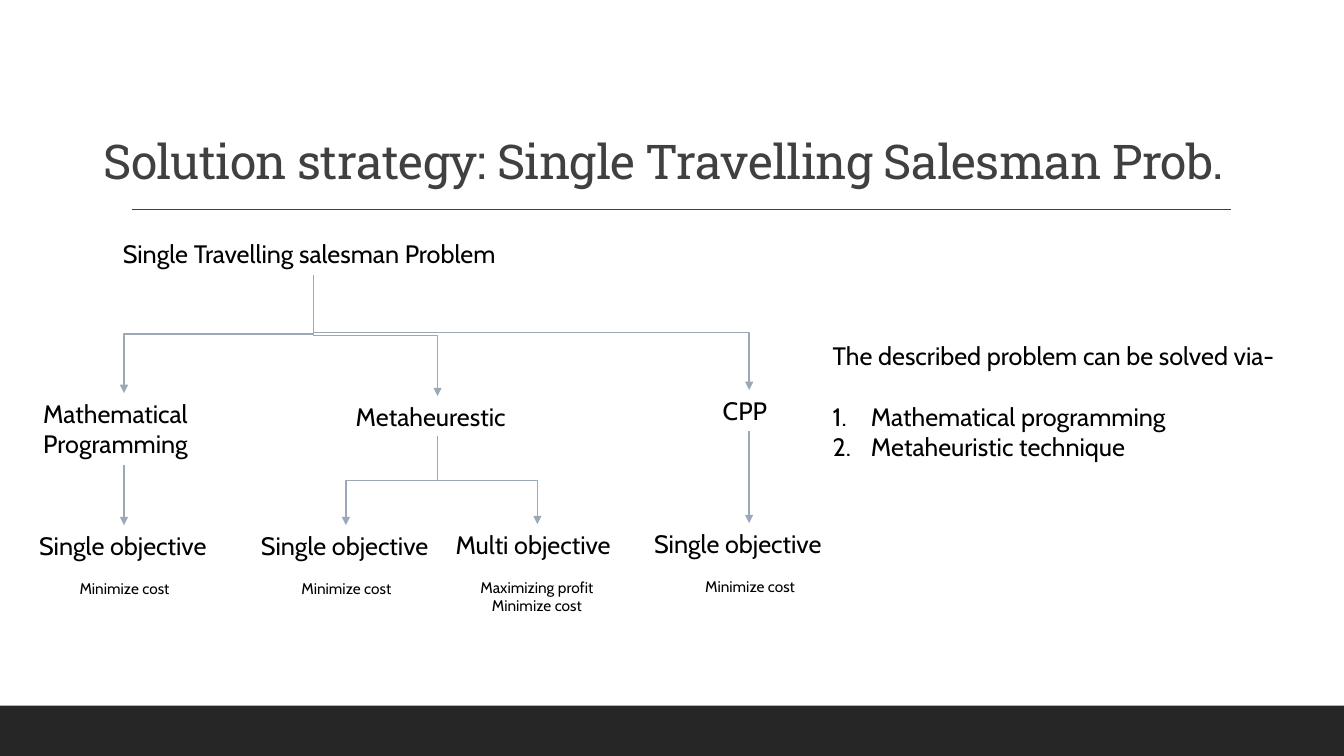
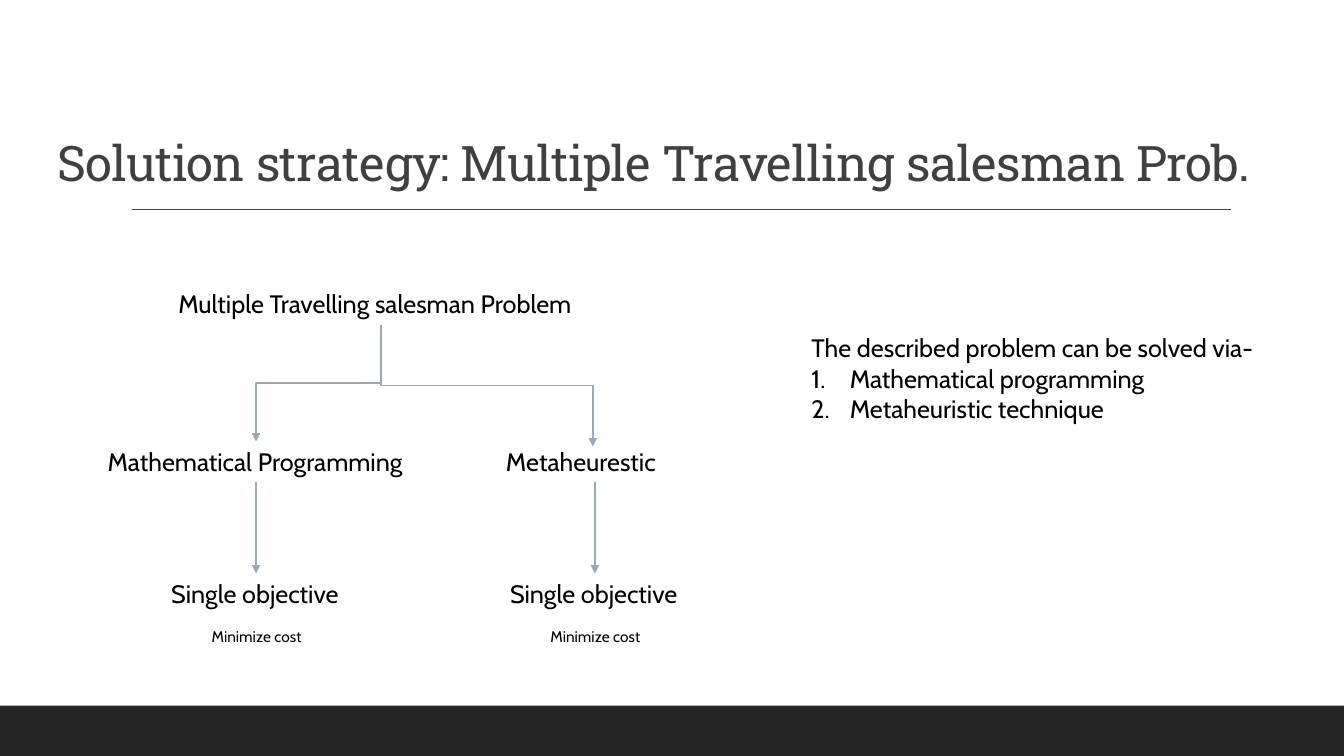
import pptx
import pptx.dml.color
import pptx.enum.shapes
import pptx.enum.text
import pptx.oxml.ns
import pptx.util
from lxml import etree

Inches = pptx.util.Inches
Pt = pptx.util.Pt
qn = pptx.oxml.ns.qn
PP_ALIGN = pptx.enum.text.PP_ALIGN
CONNECTOR = pptx.enum.shapes.MSO_CONNECTOR

TITLE_FONT, BODY_FONT = "Roboto Slab", "Cabin"
DARK, BAND, ARROW, BLACK = "404040", "262626", "9BA8B7", "000000"
BODY_SIZE, DETAIL_SIZE = 18, 11
LINE_FACTOR = 1.2
NUMBER_INDENT = 0.38


def color(value):
    return pptx.dml.color.RGBColor.from_string(value)


def add_span(para, text, size, font=BODY_FONT, fill=BLACK):
    span = para.add_run()
    span.text = text
    span.font.size = Pt(size)
    span.font.name = font
    span.font.color.rgb = color(fill)
    return span


def add_box(page, left, top, width, height):
    box = page.shapes.add_textbox(Inches(left), Inches(top), Inches(width), Inches(height))
    box.text_frame.word_wrap = True
    return box.text_frame


def add_label(page, text, left, top, width, height=0.4):
    frame = add_box(page, left, top, width, height)
    add_span(frame.paragraphs[0], text, BODY_SIZE)
    return frame


def add_objective(page, heading, details, left, top, width):
    frame = add_label(page, heading, left, top, width, 0.77)
    for index, detail in enumerate(details):
        para = frame.add_paragraph()
        para.alignment = PP_ALIGN.CENTER
        if index == 0:
            para.space_before = Pt(DETAIL_SIZE * LINE_FACTOR)
        add_span(para, detail, DETAIL_SIZE)


def add_methods(page, left, top, width, height, gap=0):
    frame = add_label(page, "The described problem can be solved via-", left, top, width, height)
    for index, method in enumerate(["Mathematical programming", "Metaheuristic technique"]):
        para = frame.add_paragraph()
        if index == 0:
            para.space_before = Pt(gap)
        add_span(para, method, BODY_SIZE)
        settings = para._p.get_or_add_pPr()
        settings.set("marL", str(Inches(NUMBER_INDENT)))
        settings.set("indent", str(-Inches(NUMBER_INDENT)))
        etree.SubElement(settings, qn("a:buFont"), typeface="+mj-lt")
        etree.SubElement(settings, qn("a:buAutoNum"), type="arabicPeriod")


def add_line(page, kind, start, end, stroke):
    line = page.shapes.add_connector(kind, *(Inches(value) for value in (*start, *end)))
    line.line.color.rgb = color(stroke)
    line.line.width = Pt(1)
    etree.SubElement(line._element.spPr, qn("a:effectLst"))
    return line


def add_arrow(page, start, end):
    across, down = end[0] - start[0], end[1] - start[1]
    if across == 0:
        arrow = add_line(page, CONNECTOR.STRAIGHT, start, end, ARROW)
    else:
        center_x, center_y = start[0] + across / 2, start[1] + down / 2
        half_width, half_height = down / 2, abs(across) / 2
        arrow = add_line(page, CONNECTOR.ELBOW,
                         (center_x - half_width, center_y - half_height),
                         (center_x + half_width, center_y + half_height), ARROW)
        turn = arrow._element.spPr.find(qn("a:xfrm"))
        turn.set("rot", str((90 if across < 0 else 270) * 60000))
        if across > 0:
            turn.set("flipH", "1")
    outline = arrow.line._get_or_add_ln()
    etree.SubElement(outline, qn("a:tailEnd"), type="triangle")


def add_page(deck, title, size, left, top, width, height):
    page = deck.slides.add_slide(deck.slide_layouts[5])
    band = page.shapes.add_shape(pptx.enum.shapes.MSO_SHAPE.RECTANGLE,
                                 0, Inches(7), deck.slide_width, Inches(0.5))
    band.shadow.inherit = False
    band.fill.solid()
    band.fill.fore_color.rgb = color(BAND)
    band.line.fill.background()
    add_line(page, CONNECTOR.STRAIGHT, (1.31, 2.08), (12.21, 2.08), DARK)

    box = page.shapes.title
    box.left, box.top, box.width, box.height = map(Inches, (left, top, width, height))
    frame = box.text_frame
    frame.word_wrap = True
    frame.auto_size = pptx.enum.text.MSO_AUTO_SIZE.NONE
    frame.vertical_anchor = pptx.enum.text.MSO_ANCHOR.BOTTOM
    para = frame.paragraphs[0]
    para.alignment = PP_ALIGN.LEFT
    para.line_spacing = 0.9
    span = add_span(para, title, size, TITLE_FONT, DARK)
    span.font._element.set("spc", "-50")
    return page


def build_single(deck):
    page = add_page(deck, "Solution strategy: Single Travelling Salesman Prob.",
                    34.2, 0.93, 0.85, 11.68, 1.08)
    add_methods(page, 8.16, 3.33, 4.79, 1.62, BODY_SIZE * LINE_FACTOR)
    add_label(page, "Single Travelling salesman Problem", 1.12, 2.32, 3.99)
    add_label(page, "Mathematical Programming", 0.33, 3.9, 1.81, 0.71)
    add_label(page, "Metaheurestic", 3.43, 3.93, 1.81)
    add_label(page, "CPP", 7.07, 3.87, 0.73)

    cost = ["Minimize cost"]
    add_objective(page, "Single objective", cost, 0.29, 5.21, 1.89)
    add_objective(page, "Single objective", cost, 2.49, 5.21, 1.89)
    add_objective(page, "Multi objective", ["Maximizing profit"] + cost, 4.42, 5.2, 1.81)
    add_objective(page, "Single objective", cost, 6.39, 5.19, 2.1)

    for end in [(1.23, 3.9), (4.34, 3.93), (7.43, 3.87)]:
        add_arrow(page, (3.11, 2.73), end)
    for end in [(3.43, 5.21), (5.33, 5.2)]:
        add_arrow(page, (4.34, 4.33), end)
    add_arrow(page, (1.23, 4.61), (1.23, 5.21))
    add_arrow(page, (7.43, 4.28), (7.43, 5.19))


def build_multiple(deck):
    page = add_page(deck, "Solution strategy: Multiple Travelling salesman Prob.",
                    35, 0.47, 1.03, 12.46, 0.93)
    add_methods(page, 7.95, 3.25, 4.76, 1.31)
    add_label(page, "Multiple Travelling salesman Problem", 1.67, 2.81, 4.24)
    add_label(page, "Mathematical Programming", 0.97, 4.38, 3.14)
    add_label(page, "Metaheurestic", 4.92, 4.38, 1.96)
    for left in (1.6, 4.96):
        add_objective(page, "Single objective", ["Minimize cost"], left, 5.69, 1.89)

    for end in [(2.54, 4.38), (5.88, 4.43)]:
        add_arrow(page, (3.78, 3.22), end)
    for center in (2.54, 5.9):
        add_arrow(page, (center, 4.78), (center, 5.69))


def main():
    deck = pptx.Presentation()
    deck.slide_width, deck.slide_height = Inches(13.33), Inches(7.5)
    build_single(deck)
    build_multiple(deck)
    deck.save("out.pptx")


if __name__ == "__main__":
    main()
